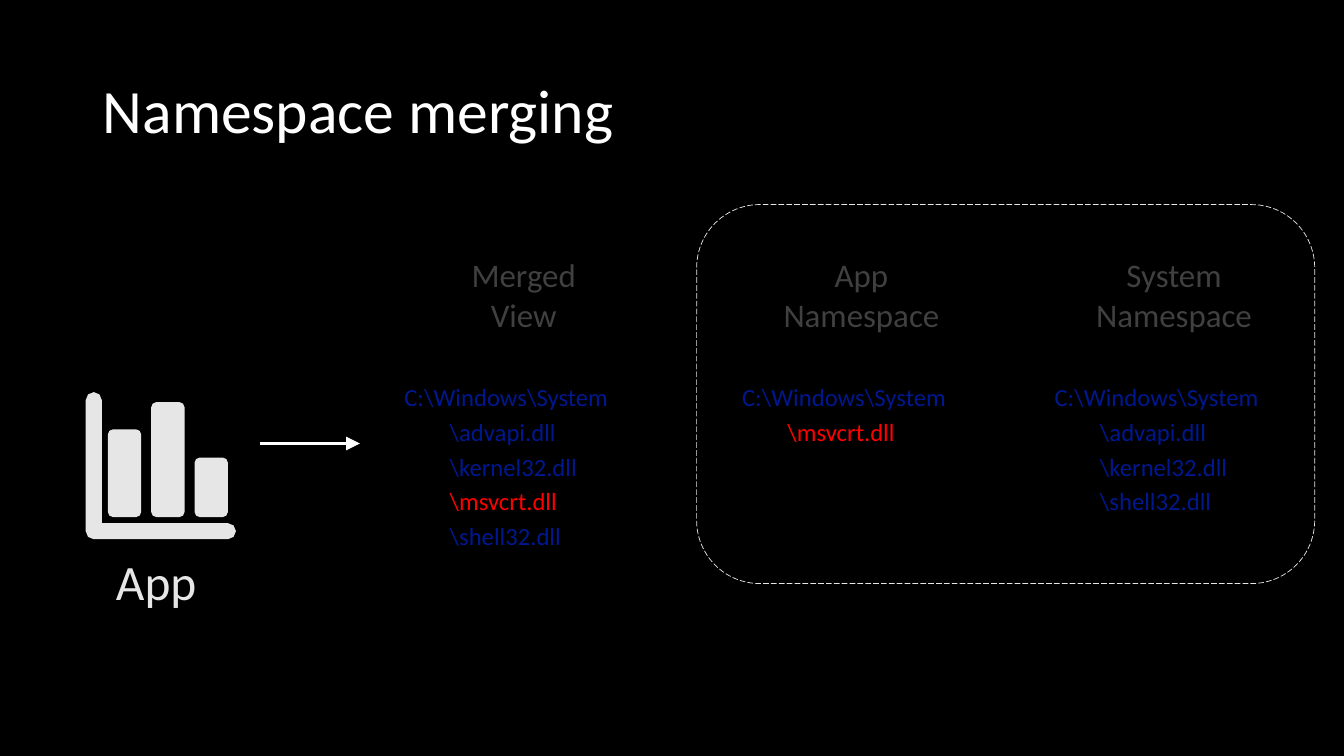
from math import cos, dist, pi, sin

from lxml import etree
from pptx import Presentation
from pptx import util as u
from pptx.dml.color import RGBColor
from pptx.enum import dml, shapes, text
from pptx.oxml import ns

FONT = "Calibri"
HUES = {"back": "000000", "white": "FFFFFF", "pale": "E7E6E6",
        "head": "404040", "blue": "00188F", "red": "FF0000"}


def hue(name):
    return RGBColor.from_string(HUES[name])


def write(frame, lines, size, color, align=text.PP_ALIGN.LEFT, space=0.9,
          after=0, inset=(0.1, 0.05), wrap=True, anchor=text.MSO_ANCHOR.TOP):
    """Fill a text frame with (text, left indent, colour or None) lines."""
    frame.word_wrap = wrap
    frame.vertical_anchor = anchor
    frame.margin_left = frame.margin_right = u.Inches(inset[0])
    frame.margin_top = frame.margin_bottom = u.Inches(inset[1])
    for i, (words, indent, tint) in enumerate(lines):
        para = frame.add_paragraph() if i else frame.paragraphs[0]
        para.text = words
        para.alignment = align
        para.line_spacing = space
        para.space_after = u.Pt(after)
        if indent:
            para._p.get_or_add_pPr().set("marL", str(u.Inches(indent)))
        for run in para.runs:
            run.font.name = FONT
            run.font.size = u.Pt(size)
            run.font.color.rgb = hue(tint or color)


def box(slide, x, y, w, h):
    area = slide.shapes.add_textbox(*map(u.Inches, (x, y, w, h)))
    return area.text_frame


def title(slide, x, y, w, h):
    head = slide.shapes.title
    head.left, head.top, head.width, head.height = map(u.Inches, (x, y, w, h))
    write(head.text_frame, [("Namespace merging", 0, None)], 44, "white",
          anchor=text.MSO_ANCHOR.MIDDLE)


def frame(slide, x, y, w, h):
    edge = slide.shapes.add_shape(shapes.MSO_SHAPE.ROUNDED_RECTANGLE,
                                  *map(u.Inches, (x, y, w, h)))
    edge.shadow.inherit = False
    edge.fill.background()
    edge.line.color.rgb = hue("pale")
    edge.line.width = u.Pt(0.5)
    edge.line.dash_style = dml.MSO_LINE.LONG_DASH


def column(slide, x, y, w, head, wide, files):
    """Centred heading above a folder with its (file, colour) list."""
    mid = x + w / 2 + 0.1
    write(box(slide, mid - wide / 2, y, wide, 0.89), [(head, 0, None)],
          23.5, "head", align=text.PP_ALIGN.CENTER, space=1, wrap=False)
    lines = [("C:\\Windows\\System", 0, None)]
    lines += [("\\" + name, 0.45, tint) for name, tint in files]
    write(box(slide, x, y + 1.18, w, 1.69), lines, 17.6, "blue",
          after=5.9, inset=(0.2, 0.16))


def arrow(slide, x, y, w):
    line = slide.shapes.add_connector(shapes.MSO_CONNECTOR.STRAIGHT,
                                      *map(u.Inches, (x, y, x + w, y)))
    line.line.color.rgb = hue("white")
    line.line.width = u.Pt(1.5)
    etree.SubElement(line.line._get_or_add_ln(), ns.qn("a:tailEnd"),
                     type="triangle", w="lg", len="lg")
    etree.SubElement(line._element.spPr, ns.qn("a:effectLst"))


def curve(corners, steps=2):
    """Points of an outline whose (x, y, radius) corners are rounded."""
    points = []
    for i, (x, y, r) in enumerate(corners):
        last, nxt = corners[i - 1], corners[(i + 1) % len(corners)]
        (ax, ay), (bx, by) = [((px - x) / dist((px, py), (x, y)),
                               (py - y) / dist((px, py), (x, y)))
                              for px, py, _ in (last, nxt)]
        for k in range(steps + 1 if r else 1):
            turn = pi / 2 * k / steps
            s, c = r * (1 - sin(turn)), r * (1 - cos(turn))
            points.append((u.Inches(x + s * ax + c * bx),
                           u.Inches(y + s * ay + c * by)))
    return points


def icon(slide, x, y, w, h):
    """Bar chart symbol: an L-shaped axis and three bars."""
    thick, r = 0.16, 0.08
    right, base = x + w, y + h
    loops = [[(x, y, r), (x + thick, y, r), (x + thick, base - thick, 0),
              (right, base - thick, r), (right, base, r), (x, base, r)]]
    foot, wide = base - 0.22, 0.33
    for i, tall in enumerate((0.87, 1.14, 0.59)):
        left, top = x + 0.22 + 0.43 * i, foot - tall
        loops.append([(px, py, 0.05) for px, py in (
            (left, top), (left + wide, top),
            (left + wide, foot), (left, foot))])
    first, *rest = map(curve, loops)
    pen = slide.shapes.build_freeform(*first[0])
    pen.add_line_segments(first[1:])
    for loop in rest:
        pen.move_to(*loop[0])
        pen.add_line_segments(loop[1:])
    mark = pen.convert_to_shape()
    mark.shadow.inherit = False
    mark.fill.solid()
    mark.fill.fore_color.rgb = hue("pale")
    mark.line.fill.background()


def app(slide, x, y):
    icon(slide, x, y, 1.49, 1.46)
    write(box(slide, x + 0.1, y + 1.48, 1.32, 0.85), [("App", 0, None)],
          35.3, "pale", after=5.9, inset=(0.2, 0.16))
    arrow(slide, x + 1.73, y + 0.51, 0.99)


def main():
    deck = Presentation()
    deck.slide_width, deck.slide_height = u.Inches(13.33), u.Inches(7.5)
    slide = deck.slides.add_slide(deck.slide_layouts[5])
    slide.background.fill.solid()
    slide.background.fill.fore_color.rgb = hue("back")
    title(slide, 0.92, 0.4, 11.5, 1.45)
    frame(slide, 6.91, 2.03, 6.13, 3.76)
    advapi, kernel, shell = [(name + ".dll", None) for name in
                             ("advapi", "kernel32", "shell32")]
    msvcrt = ("msvcrt.dll", "red")
    for x, head, wide, files in (
            (3.81, "Merged\vView", 1.25, [advapi, kernel, msvcrt, shell]),
            (7.16, "App\vNamespace", 1.77, [msvcrt]),
            (10.26, "System\vNamespace", 1.77, [advapi, kernel, shell])):
        column(slide, x, 2.48, 2.57, head, wide, files)
    app(slide, 0.85, 3.89)
    deck.save("out.pptx")


if __name__ == "__main__":
    main()
